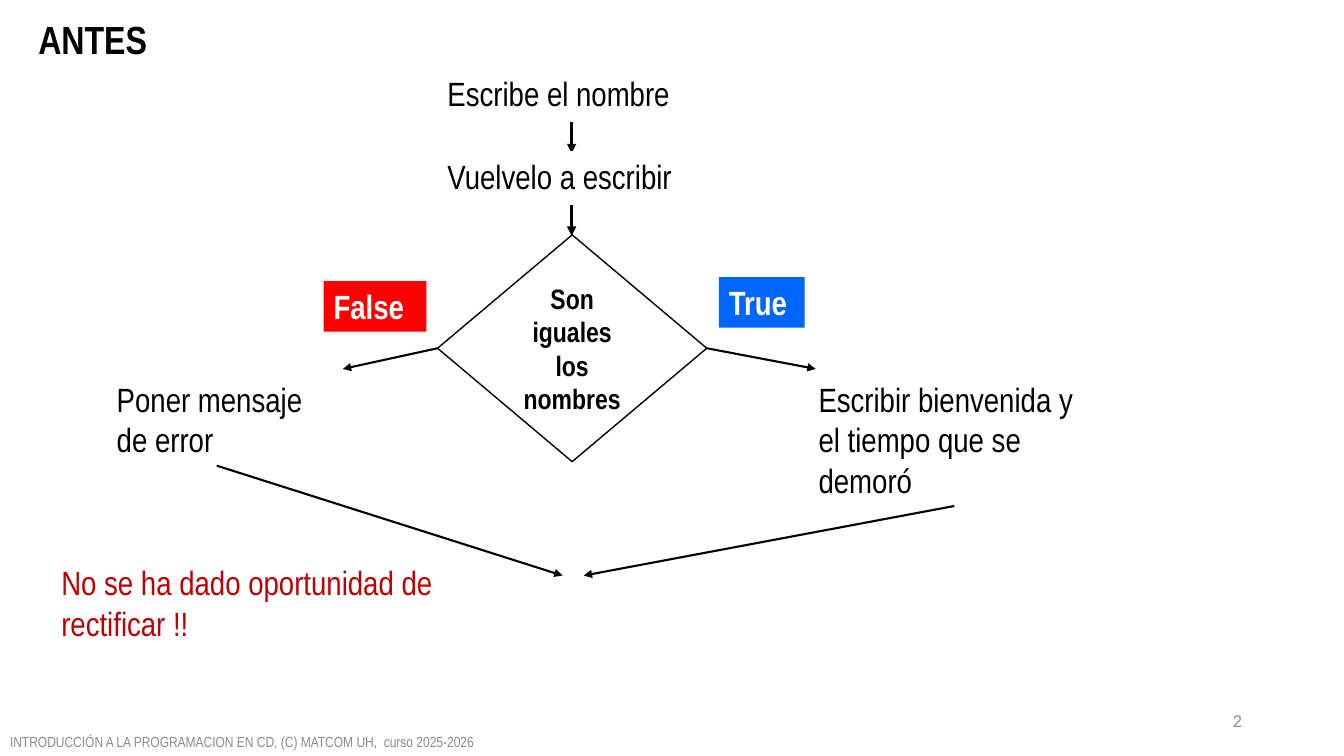
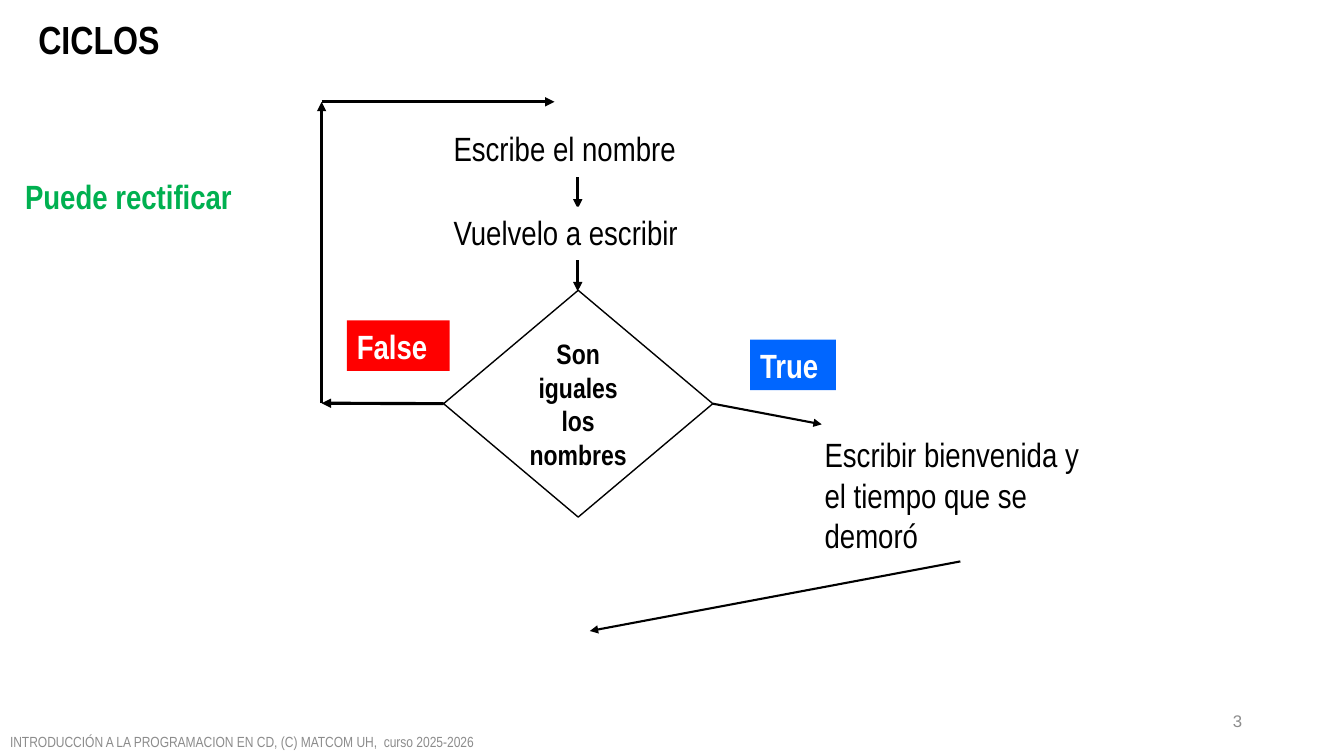
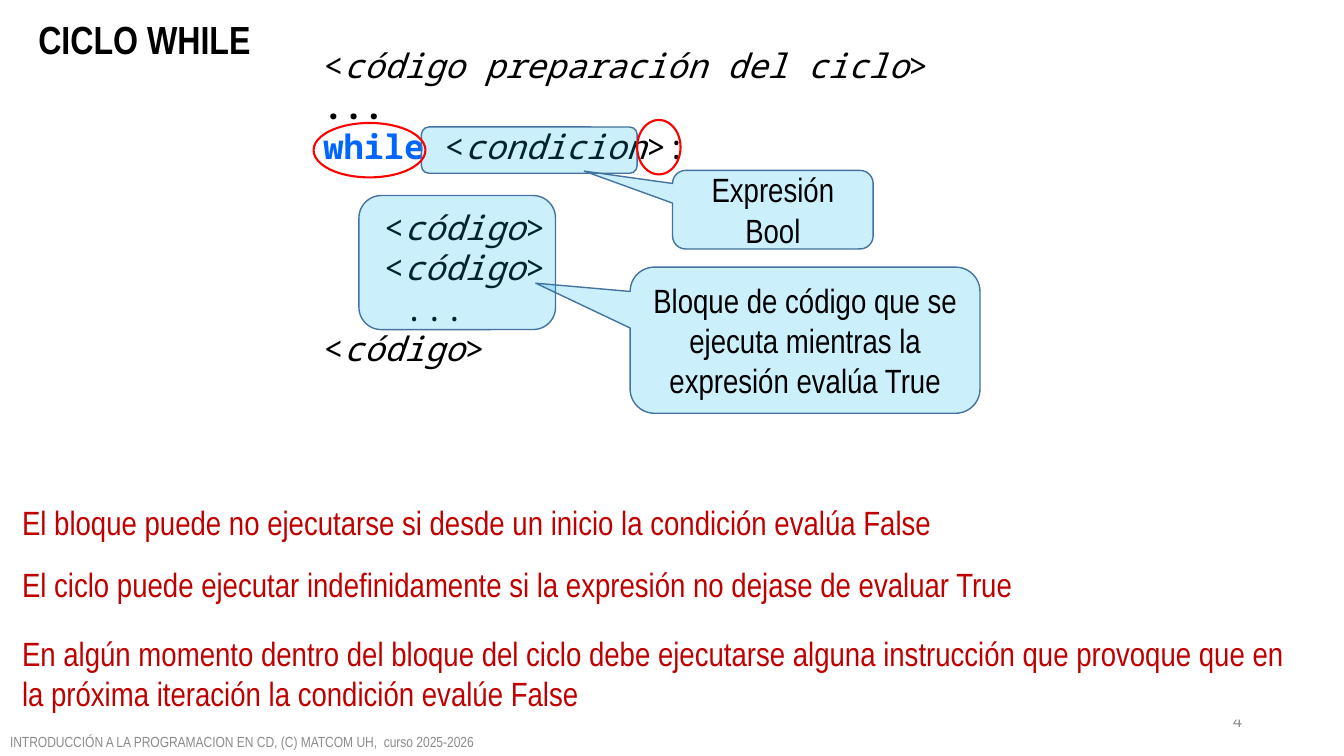
from copy import deepcopy

from lxml.etree import SubElement
from pptx import Presentation
from pptx.dml.color import RGBColor
from pptx.enum.shapes import MSO_CONNECTOR, MSO_SHAPE
from pptx.enum.text import MSO_ANCHOR, MSO_AUTO_SIZE, PP_ALIGN
from pptx.oxml.ns import qn
from pptx.util import Inches, Pt

BLACK, WHITE, GRAY = "000000", "FFFFFF", "8C8C8C"
RED, DARK_RED, BLUE, GREEN = "FF0000", "C00000", "0066FF", "00B050"
SKY, STEEL = "00B0F0", "43739E"
SANS, NARROW, MONO = "Arial", "Arial Narrow", "Noto Sans Mono"
FOOTER = "INTRODUCCIÓN A LA PROGRAMACION EN CD, (C) MATCOM UH,  curso 2025-2026"
TITLE_BOX = (0.28, 0.1, 5.72, 0.57)
FOOTER_BOX = (0, 7.21, 6.67, 0.29)
NUMBER_BOX = (9.42, 6.95, 3, 0.4)
CODE_PITCH = 28.85
CHAR_WIDTH = 0.2


def rgb(value):
    return RGBColor.from_string(value)


def format_run(r, size, color=BLACK, bold=False, italic=False, font=NARROW):
    r.font.name = font
    r.font.size = Pt(size)
    r.font.bold = bold
    r.font.italic = italic
    r.font.color.rgb = rgb(color)


def set_text(sp, text, size=24, color=BLACK, bold=False, font=NARROW,
             align=PP_ALIGN.LEFT, anchor=MSO_ANCHOR.TOP):
    tf = sp.text_frame
    tf.text = text
    tf.word_wrap = True
    tf.auto_size = MSO_AUTO_SIZE.NONE
    tf.vertical_anchor = anchor
    p = tf.paragraphs[0]
    p.alignment = align
    format_run(p.runs[0], size, color, bold, font=font)


def place(sp, box):
    sp.left, sp.top, sp.width, sp.height = map(Inches, box)


def add_text(slide, box, text, color=BLACK, fill=WHITE, bold=False):
    sp = slide.shapes.add_textbox(*map(Inches, box))
    sp.fill.solid()
    sp.fill.fore_color.rgb = rgb(fill)
    set_text(sp, text, color=color, bold=bold)
    return sp


def add_figure(slide, kind, box, line, width=1, fill=None, alpha=None):
    sp = slide.shapes.add_shape(kind, *map(Inches, box))
    sp.shadow.inherit = False
    sp.line.color.rgb = rgb(line)
    sp.line.width = Pt(width)
    if fill is None:
        sp.fill.background()
        return sp
    sp.fill.solid()
    sp.fill.fore_color.rgb = rgb(fill)
    if alpha is not None:
        color = sp.element.spPr.find(qn("a:solidFill"))[0]
        SubElement(color, qn("a:alpha"), val=str(alpha * 1000))
    return sp


def add_arrow(slide, start, end, width=1.5, begin=None, finish=None):
    points = map(Inches, (*start, *end))
    line = slide.shapes.add_connector(MSO_CONNECTOR.STRAIGHT, *points)
    line.line.color.rgb = rgb(BLACK)
    line.line.width = Pt(width)
    spPr = line.element.spPr
    SubElement(spPr.find(qn("a:ln")), qn("a:tailEnd"), type="triangle")
    SubElement(spPr, qn("a:effectLst"))
    if begin:
        line.begin_connect(*begin)
    if finish:
        line.end_connect(*finish)


def add_slide(prs, title, number):
    layout = prs.slide_layouts[5]
    slide = prs.slides.add_slide(layout)
    for ph in layout.placeholders:
        if ph.placeholder_format.idx in (11, 12):
            slide.shapes._spTree.append(deepcopy(ph.element))
    footer, page = slide.placeholders[11], slide.placeholders[12]
    place(slide.shapes.title, TITLE_BOX)
    place(footer, FOOTER_BOX)
    place(page, NUMBER_BOX)
    set_text(slide.shapes.title, title, 28, bold=True)
    set_text(footer, FOOTER, 10.5, GRAY, anchor=MSO_ANCHOR.MIDDLE)
    set_text(page, str(number), 12, GRAY, font=SANS,
             align=PP_ALIGN.RIGHT, anchor=MSO_ANCHOR.MIDDLE)
    return slide


def add_flow(slide, left, top):
    middle = left + 1.33
    for y in (0.54, 1.36):
        if y > 1:
            add_text(slide, (left, top + 0.83, 2.76, 0.5), "Vuelvelo a escribir")
        add_arrow(slide, (middle, top + y), (middle, top + y + 0.31), 2.25)
    add_text(slide, (left, top, 2.76, 0.5), "Escribe el nombre")
    decision = add_figure(slide, MSO_SHAPE.FLOWCHART_DECISION,
                          (left, top + 1.66, 2.67, 2.25), BLACK, fill=WHITE)
    set_text(decision, "Son iguales los nombres", 20, bold=True,
             align=PP_ALIGN.CENTER, anchor=MSO_ANCHOR.MIDDLE)
    welcome = add_text(slide, (left + 3.68, top + 3.04, 2.89, 1.31),
                       "Escribir bienvenida y el tiempo que se demoró")
    add_arrow(slide, (left + 2.67, top + 2.78), (left + 3.75, top + 2.99),
              begin=(decision, 3))
    add_arrow(slide, (left + 5.12, top + 4.35), (left + 1.45, top + 5.04),
              begin=(welcome, 2))
    return decision


def add_branch_labels(slide, false_at, true_at):
    add_text(slide, (*false_at, 1.02, 0.5), "False", WHITE, RED, True)
    add_text(slide, (*true_at, 0.85, 0.5), "True", WHITE, BLUE, True)


def build_before(prs):
    slide = add_slide(prs, "ANTES", 2)
    decision = add_flow(slide, 4.34, 0.67)
    add_branch_labels(slide, (3.21, 2.79), (7.13, 2.75))
    add_text(slide, (1.06, 3.71, 2.34, 0.91), "Poner mensaje de error")
    add_arrow(slide, (4.34, 3.45), (3.4, 3.66), begin=(decision, 1))
    add_arrow(slide, (2.15, 4.62), (5.58, 5.71))
    add_text(slide, (0.51, 5.53, 4.06, 0.91),
             "No se ha dado oportunidad de rectificar !!", DARK_RED)


def build_loop(prs):
    slide = add_slide(prs, "CICLOS", 3)
    decision = add_flow(slide, 4.4, 1.22)
    add_text(slide, (0.15, 1.7, 2.82, 0.5), "Puede rectificar", GREEN, bold=True)
    corners = [(4.4, 4), (3.19, 4), (3.19, 1.01), (5.5, 1.01)]
    for i, (start, end) in enumerate(zip(corners, corners[1:])):
        add_arrow(slide, start, end, 2.25, begin=None if i else (decision, 1))
    add_branch_labels(slide, (3.44, 3.18), (7.44, 3.37))


def add_code(slide, box):
    plain, italic = {}, {"italic": True}
    code = [("<", plain), ("código", italic), (">", plain)]
    lines = [
        (0, 0, [("<", plain), ("código preparación del ciclo", italic), (">", plain)]),
        (0, 0, [("...", {"bold": True})]),
        (0, 0, [("while", {"bold": True, "color": BLUE}), (" <", plain),
                ("condicion", italic), (">:", plain)]),
        (3, 1, code),
        (3, 0, code),
        (4, 0, [("...", plain)]),
        (0, 0, code),
    ]
    tf = slide.shapes.add_textbox(*map(Inches, box)).text_frame
    tf.word_wrap = True
    for i, (indent, skipped, parts) in enumerate(lines):
        p = tf.add_paragraph() if i else tf.paragraphs[0]
        p.line_spacing = Pt(CODE_PITCH)
        p.space_before = Pt(CODE_PITCH * skipped)
        p._p.get_or_add_pPr().set("marL", str(Inches(indent * CHAR_WIDTH)))
        for text, style in parts:
            r = p.add_run()
            r.text = text
            format_run(r, 24, font=MONO, **style)


def add_callout(slide, box, text, tip):
    sp = add_figure(slide, MSO_SHAPE.ROUNDED_RECTANGULAR_CALLOUT, box, STEEL,
                    fill=SKY, alpha=20)
    for i, value in enumerate(tip):
        sp.adjustments[i] = value
    set_text(sp, text, align=PP_ALIGN.CENTER, anchor=MSO_ANCHOR.MIDDLE)


def build_while(prs):
    slide = add_slide(prs, "CICLO WHILE", 4)
    add_code(slide, (3.11, 0.4, 6.84, 4.44))
    for box in ((3.56, 1.94, 1.95, 1.33), (4.18, 1.26, 2.14, 0.46)):
        add_figure(slide, MSO_SHAPE.ROUNDED_RECTANGLE, box, STEEL,
                   fill=SKY, alpha=20)
    add_callout(slide, (6.67, 1.69, 1.99, 0.78), "Expresión Bool", (-0.94, -0.49))
    add_callout(slide, (6.25, 2.65, 3.47, 1.45),
                "Bloque de código que se ejecuta mientras la expresión evalúa True",
                (-0.77, -0.39))
    for box in ((3.11, 1.22, 1.11, 0.54), (6.32, 1.19, 0.43, 0.54)):
        add_figure(slide, MSO_SHAPE.OVAL, box, RED, 1.5)
    notes = [
        (4.93, 0.5, "El bloque puede no ejecutarse si desde un inicio la "
                    "condición evalúa False"),
        (5.55, 0.5, "El ciclo puede ejecutar indefinidamente si la expresión "
                    "no dejase de evaluar True"),
        (6.23, 0.91, "En algún momento dentro del bloque del ciclo debe "
                     "ejecutarse alguna instrucción que provoque que en la "
                     "próxima iteración la condición evalúe False"),
    ]
    for top, height, text in notes:
        add_text(slide, (0.12, top, 12.71, height), text, DARK_RED)


def main():
    prs = Presentation()
    prs.slide_width, prs.slide_height = Inches(13.33), Inches(7.5)
    build_before(prs)
    build_loop(prs)
    build_while(prs)
    prs.save("out.pptx")


if __name__ == "__main__":
    main()
